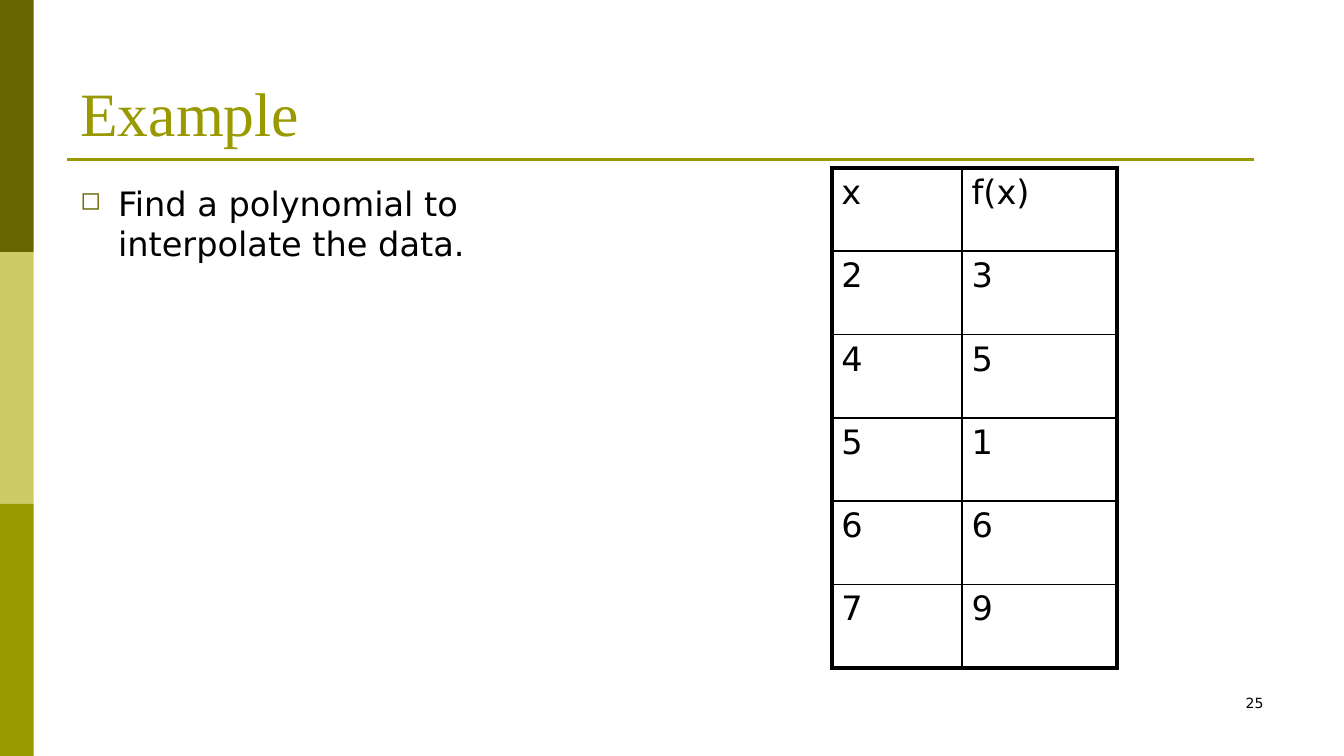
from lxml.etree import SubElement
from pptx import Presentation
from pptx.dml.color import RGBColor
from pptx.enum.shapes import MSO_CONNECTOR, MSO_SHAPE
from pptx.enum.text import MSO_ANCHOR, PP_ALIGN
from pptx.oxml.ns import qn
from pptx.util import Inches, Pt

OLIVE = RGBColor(0x99, 0x99, 0x00)
DARK_OLIVE = RGBColor(0x66, 0x66, 0x00)
LIGHT_OLIVE = RGBColor(0xCC, 0xCC, 0x66)
BLACK = RGBColor(0, 0, 0)
BODY_FONT = "DejaVu Sans"
TITLE_FONT = "Times New Roman"


def write_text(frame, text, size=18, font=BODY_FONT, color=BLACK, align=PP_ALIGN.LEFT):
    frame.word_wrap = True
    paragraph = frame.paragraphs[0]
    paragraph.alignment = align
    run = paragraph.add_run()
    run.text = text
    run.font.size = Pt(size)
    run.font.name = font
    run.font.color.rgb = color
    return paragraph


def set_border(cell, side, width):
    line = SubElement(cell._tc.get_or_add_tcPr(), qn(f"a:{side}"), w=str(Pt(width)))
    fill = SubElement(line, qn("a:solidFill"))
    SubElement(fill, qn("a:srgbClr"), val=str(BLACK))


presentation = Presentation()
presentation.slide_width = Inches(10)
presentation.slide_height = Inches(5.625)
slide = presentation.slides.add_slide(presentation.slide_layouts[6])
shapes = slide.shapes

band_height = 5.625 / 3
for index, color in enumerate((DARK_OLIVE, LIGHT_OLIVE, OLIVE)):
    band = shapes.add_shape(
        MSO_SHAPE.RECTANGLE, 0, Inches(index * band_height), Inches(0.25), Inches(band_height)
    )
    band.shadow.inherit = False
    band.fill.solid()
    band.fill.fore_color.rgb = color
    band.line.fill.background()

title_rule = shapes.add_connector(
    MSO_CONNECTOR.STRAIGHT, Inches(0.5), Inches(1.19), Inches(9.33), Inches(1.19)
)
title_rule.line.color.rgb = OLIVE
title_rule.line.width = Pt(1.5)
SubElement(title_rule._element.spPr, qn("a:effectLst"))

page_number = shapes.add_textbox(Inches(7.17), Inches(5.12), Inches(2.33), Inches(0.38))
write_text(page_number.text_frame, "25", size=7.5, align=PP_ALIGN.RIGHT)

title = shapes.add_textbox(Inches(0.5), Inches(0.23), Inches(9), Inches(0.93))
title.text_frame.vertical_anchor = MSO_ANCHOR.BOTTOM
write_text(title.text_frame, "Example", size=33, font=TITLE_FONT, color=OLIVE)

body = shapes.add_textbox(Inches(0.5), Inches(1.31), Inches(4.42), Inches(3.72))
paragraph = write_text(body.text_frame, "Find a polynomial to interpolate the data.")
properties = paragraph._p.get_or_add_pPr()
properties.set("marL", str(Inches(0.28)))
properties.set("indent", str(Inches(-0.28)))
bullet_color = SubElement(properties, qn("a:buClr"))
SubElement(bullet_color, qn("a:srgbClr"), val=str(DARK_OLIVE))
SubElement(properties, qn("a:buSzPct"), val="75000")
SubElement(properties, qn("a:buChar"), char="◻")

rows = [("x", "f(x)"), ("2", "3"), ("4", "5"), ("5", "1"), ("6", "6"), ("7", "9")]
row_height = 0.62
table = shapes.add_table(
    len(rows), 2, Inches(6.19), Inches(1.25), Inches(2.12), Inches(row_height * len(rows))
).table
table.first_row = False
table.horz_banding = False
for column, width in zip(table.columns, (0.97, 1.15)):
    column.width = Inches(width)

for row_index, values in enumerate(rows):
    table.rows[row_index].height = Inches(row_height)
    for column_index, value in enumerate(values):
        cell = table.cell(row_index, column_index)
        cell.margin_left = cell.margin_right = Inches(0.07)
        cell.margin_top = cell.margin_bottom = Inches(0.04)
        write_text(cell.text_frame, value)
        outer_sides = {
            "lnL": column_index == 0,
            "lnR": column_index == 1,
            "lnT": row_index == 0,
            "lnB": row_index == len(rows) - 1,
        }
        for side, is_outer in outer_sides.items():
            set_border(cell, side, 2.25 if is_outer else 1)
        cell.fill.background()

presentation.save("out.pptx")
